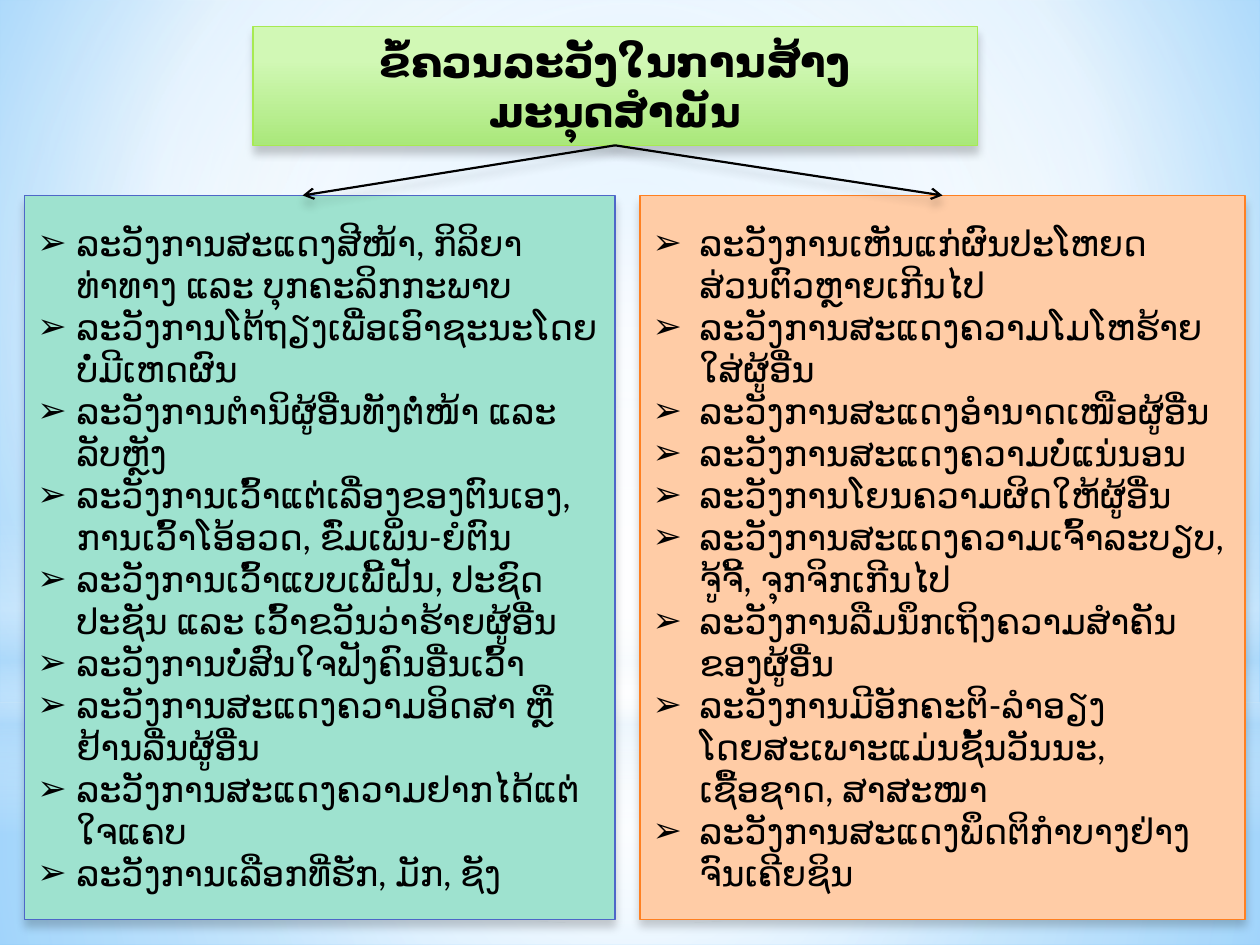
import dataclasses

import pptx
import pptx.dml.color
import pptx.enum.shapes
import pptx.enum.text
import pptx.oxml.ns
import pptx.util
from lxml import etree

Cm = pptx.util.Cm
Pt = pptx.util.Pt
qn = pptx.oxml.ns.qn


@dataclasses.dataclass(frozen=True)
class Theme:
    """Colours, font and type sizes of the slide."""
    font: str = "Lato"
    ink: str = "000000"
    title_size: int = 24
    list_size: int = 20
    title_line: str = "A7EA52"
    title_stops: tuple = ((28, "D1F8B5", 100), (100, "AAE87B", 100))
    left_fill: str = "9EE2CF"
    left_line: str = "4E67C8"
    right_fill: str = "FFCCA6"
    right_line: str = "FF8021"
    sky_stops: tuple = ((0, "9ED5FF", 100), (60, "FFFFFF", 100), (100, "5BB9FF", 100))
    ground_stops: tuple = ((0, "FFFFFF", 91), (37, "FFFFFF", 76), (100, "B4DCFA", 79))
    air_stops: tuple = ((0, "FFFFFF", 89), (48, "FFFFFF", 62), (100, "B4DCFA", 79))
    horizon_stops: tuple = ((0, "FFFFFF", 0), (29, "FFFFFF", 30), (45, "B4DCFA", 40),
                            (55, "FFFFFF", 26), (65, "B4DCFA", 60), (100, "FFFFFF", 0))
    glow_stops: tuple = ((0, "FFFFFF", 100), (56, "FFFFFF", 0))


THEME = Theme()
CENTRE = (50, 50, 50, 50)

TITLE = "ຂໍ້ຄວນລະວັງໃນການສ້າງມະນຸດສຳພັນ"
LEFT_CAUTIONS = (
    "ລະວັງການສະແດງສີໜ້າ, ກິລິຍາທ່າທາງ ແລະ ບຸກຄະລິກກະພາບ",
    "ລະວັງການໂຕ້ຖຽງເພື່ອເອົາຊະນະໂດຍບໍ່ມີເຫດຜົນ",
    "ລະວັງການຕຳນິຜູ້ອື່ນທັງຕໍ່ໜ້າ ແລະ ລັບຫຼັງ",
    "ລະວັງການເວົ້າແຕ່ເລື່ອງຂອງຕົນເອງ, ການເວົ້າໂອ້ອວດ, ຂົ່ມເພິ່ນ-ຍໍຕົນ",
    "ລະວັງການເວົ້າແບບເພີ້ຝັນ, ປະຊົດປະຊັນ ແລະ ເວົ້າຂວັນວ່າຮ້າຍຜູ້ອື່ນ",
    "ລະວັງການບໍ່ສົນໃຈຟັງຄົນອື່ນເວົ້າ",
    "ລະວັງການສະແດງຄວາມອິດສາ ຫຼື ຢ້ານລື່ນຜູ້ອື່ນ",
    "ລະວັງການສະແດງຄວາມຢາກໄດ້ແຕ່ໃຈແຄບ",
    "ລະວັງການເລືອກທີ່ຮັກ, ມັກ, ຊັງ",
)
RIGHT_CAUTIONS = (
    "ລະວັງການເຫັນແກ່ຜົນປະໂຫຍດສ່ວນຕົວຫຼາຍເກີນໄປ",
    "ລະວັງການສະແດງຄວາມໂມໂຫຮ້າຍໃສ່ຜູ້ອື່ນ",
    "ລະວັງການສະແດງອຳນາດເໜືອຜູ້ອື່ນ",
    "ລະວັງການສະແດງຄວາມບໍ່ແນ່ນອນ",
    "ລະວັງການໂຍນຄວາມຜິດໃຫ້ຜູ້ອື່ນ",
    "ລະວັງການສະແດງຄວາມເຈົ້າລະບຽບ, ຈູ້ຈີ້, ຈຸກຈິກເກີນໄປ",
    "ລະວັງການລືມນຶກເຖິງຄວາມສຳຄັນຂອງຜູ້ອື່ນ",
    "ລະວັງການມີອັກຄະຕິ-ລຳອຽງ ໂດຍສະເພາະແມ່ນຊັ້ນວັນນະ, ເຊື້ອຊາດ, ສາສະໜາ",
    "ລະວັງການສະແດງພຶດຕິກຳບາງຢ່າງຈົນເຄີຍຊິນ",
)


def rgb(value):
    """Turn a hex string into a colour."""
    return pptx.dml.color.RGBColor.from_string(value)


def add_xml(parent, tag, **attributes):
    """Append one XML element with its attributes."""
    return etree.SubElement(parent, qn(tag), {key: str(value) for key, value in attributes.items()})


def add_colour(parent, value, opacity):
    """Append a colour with its opacity in percent."""
    colour = add_xml(parent, "a:srgbClr", val=value)
    add_xml(colour, "a:alpha", val=opacity * 1000)


def set_gradient(fill, element, stops, focus=None):
    """Fill with a circular gradient round the focus, or a downward one without it."""
    fill.gradient()
    gradient = element.find(".//" + qn("a:gradFill"))
    for child in list(gradient):
        gradient.remove(child)
    stop_list = add_xml(gradient, "a:gsLst")
    for position, value, opacity in stops:
        add_colour(add_xml(stop_list, "a:gs", pos=position * 1000), value, opacity)
    if focus:
        circle = add_xml(gradient, "a:path", path="circle")
        add_xml(circle, "a:fillToRect", **{side: inset * 1000 for side, inset in zip("ltrb", focus)})
    else:
        add_xml(gradient, "a:lin", ang=5400000, scaled=0)


def set_line(shape, value, width):
    """Give a shape its line colour and width in points."""
    shape.line.color.rgb = rgb(value)
    shape.line.width = Pt(width)


def add_shadow(shape):
    """Drop a soft shadow straight down."""
    effects = add_xml(shape.element.spPr, "a:effectLst")
    shadow = add_xml(effects, "a:outerShdw", blurRad=Pt(5), dist=Pt(4), dir=5400000, rotWithShape=0)
    add_colour(shadow, THEME.ink, 20)


def place(shape, box):
    """Move a shape to its box in centimetres."""
    shape.left, shape.top, shape.width, shape.height = map(Cm, box)


def add_run(paragraph, text, size, bold=False):
    """Add one run in the theme font."""
    run = paragraph.add_run()
    run.text = text
    run.font.name = THEME.font
    run.font.size = Pt(size)
    run.font.bold = bold
    run.font.color.rgb = rgb(THEME.ink)
    add_xml(run.font._element, "a:cs", typeface=THEME.font)


def prepare_text(frame):
    """Wrap the text, centre it vertically and keep its size."""
    frame.word_wrap = True
    frame.auto_size = pptx.enum.text.MSO_AUTO_SIZE.NONE
    frame.vertical_anchor = pptx.enum.text.MSO_ANCHOR.MIDDLE


def build_backdrop(slide, master, box):
    """Paint the sky on the master and lay its translucent bands over it."""
    set_gradient(master.background.fill, master.element, THEME.sky_stops, (20, 10, 20, 60))
    left, top, width, height = box
    shapes = pptx.enum.shapes.MSO_SHAPE
    air = 14.17
    bands = (
        (shapes.RECTANGLE, air, height - air, THEME.ground_stops, CENTRE),
        (shapes.RECTANGLE, 0, air, THEME.air_stops, CENTRE),
        (shapes.RECTANGLE, 10.46, 6.35, THEME.horizon_stops, None),
        (shapes.OVAL, 4.45, air, THEME.glow_stops, CENTRE),
    )
    for layer, (kind, offset, depth, stops, focus) in enumerate(bands):
        band = slide.shapes.add_shape(kind, Cm(left), Cm(top + offset), Cm(width), Cm(depth))
        set_gradient(band.fill, band.element, stops, focus)
        band.line.fill.background()
        band.shadow.inherit = False
        master.shapes.element.insert(2 + layer, band.element)


def build_title(heading, box):
    """Shape the title as a rounded green banner."""
    place(heading, box)
    geometry = etree.Element(qn("a:prstGeom"), {"prst": "roundRect"})
    add_xml(geometry, "a:avLst")
    heading.element.spPr.find(qn("a:xfrm")).addnext(geometry)
    set_gradient(heading.fill, heading.element, THEME.title_stops)
    set_line(heading, THEME.title_line, 0.75)
    add_shadow(heading)
    prepare_text(heading.text_frame)
    paragraph = heading.text_frame.paragraphs[0]
    paragraph.alignment = pptx.enum.text.PP_ALIGN.CENTER
    add_run(paragraph, TITLE, THEME.title_size, bold=True)


def build_cautions(panel, box, cautions, indent, fill, line):
    """Fill one coloured panel with its list of cautions."""
    place(panel, box)
    panel.fill.solid()
    panel.fill.fore_color.rgb = rgb(fill)
    set_line(panel, line, 0.75)
    add_shadow(panel)
    frame = panel.text_frame
    prepare_text(frame)
    for number, caution in enumerate(cautions):
        paragraph = frame.add_paragraph() if number else frame.paragraphs[0]
        paragraph.space_before = Pt(0)
        properties = paragraph._p.get_or_add_pPr()
        properties.set("marL", str(Cm(indent)))
        properties.set("indent", str(-Cm(indent)))
        add_xml(properties, "a:buChar", char="➢")
        add_run(paragraph, caution, THEME.list_size)


def build_arrow(slide, heading, end_x, end_y):
    """Draw an arrow from the foot of the title to a point in centimetres."""
    arrow = slide.shapes.add_connector(
        pptx.enum.shapes.MSO_CONNECTOR.STRAIGHT, 0, 0, Cm(end_x), Cm(end_y))
    arrow.begin_connect(heading, 2)
    set_line(arrow, THEME.ink, 1.25)
    add_xml(arrow.line._get_or_add_ln(), "a:tailEnd", type="arrow")
    add_shadow(arrow)
    return arrow


def main():
    """Build the slide and save it."""
    deck = pptx.Presentation()
    deck.slide_width, deck.slide_height = Cm(25.4), Cm(19.05)
    slide = deck.slides.add_slide(deck.slide_layouts[3])
    heading, left_panel, right_panel = slide.placeholders
    panel_top, panel_height = 3.94, 14.6
    build_backdrop(slide, deck.slide_master, (0, 0, 25.4, 19.05))
    build_title(heading, (5.1, 0.53, 14.6, 2.4))
    build_cautions(left_panel, (0.5, panel_top, 11.9, panel_height), LEFT_CAUTIONS, 0.79,
                   THEME.left_fill, THEME.left_line)
    build_cautions(right_panel, (12.9, panel_top, 12.2, panel_height), RIGHT_CAUTIONS, 0.95,
                   THEME.right_fill, THEME.right_line)
    build_arrow(slide, heading, 6.1, panel_top)
    build_arrow(slide, heading, 19, panel_top).end_connect(right_panel, 0)
    deck.save("out.pptx")


if __name__ == "__main__":
    main()
